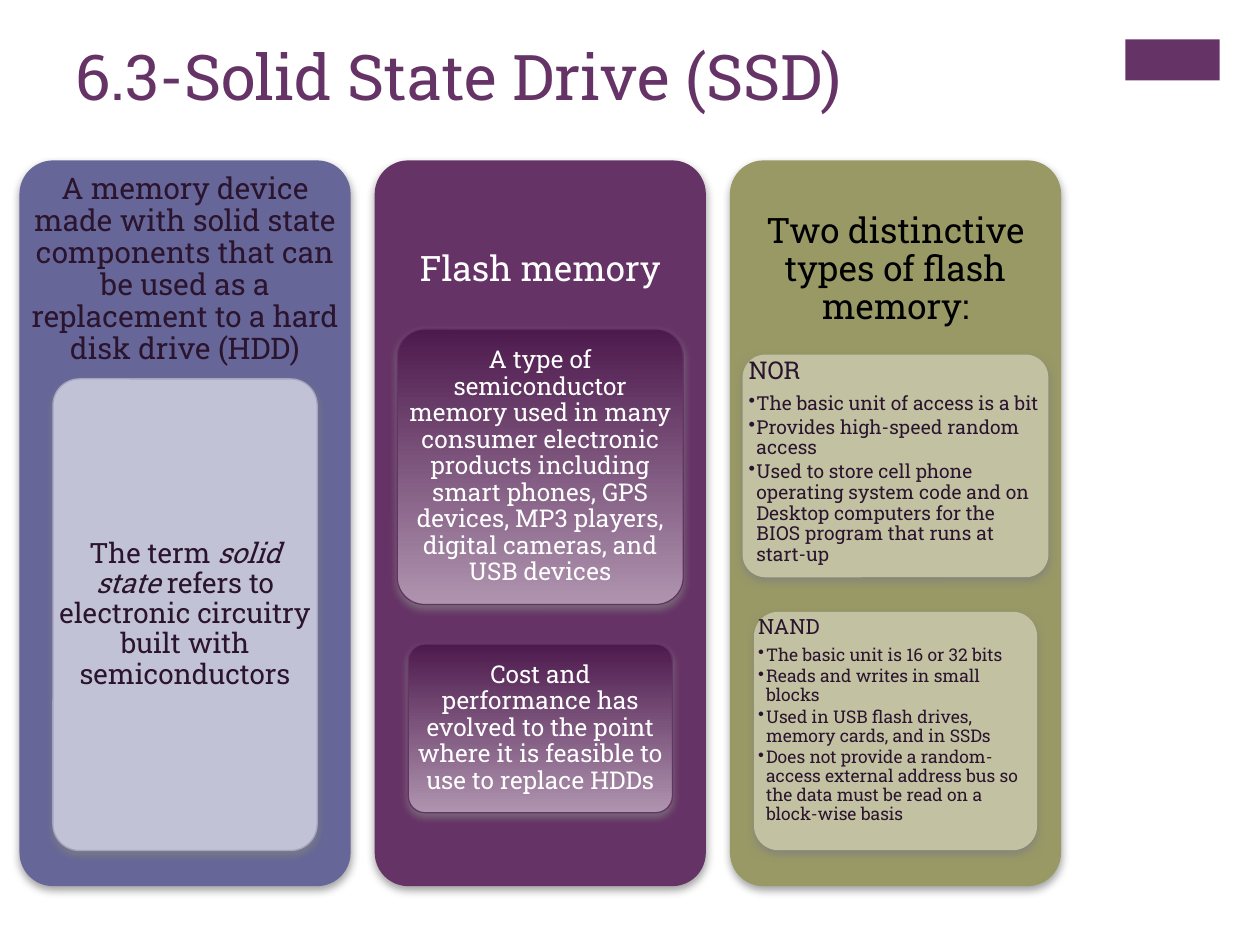
from dataclasses import dataclass
from typing import Optional

from lxml.etree import SubElement
from pptx import Presentation
from pptx.dml.color import RGBColor
from pptx.enum.shapes import MSO_SHAPE
from pptx.enum.text import MSO_ANCHOR, PP_ALIGN
from pptx.oxml.ns import qn
from pptx.util import Pt


@dataclass(frozen=True)
class Theme:
    font: str = "Roboto Slab"
    plum: str = "663366"
    blue: str = "666699"
    olive: str = "999966"
    ink: str = "2B142D"
    white: str = "FFFFFF"
    black: str = "000000"
    mist: str = "C2C2D6"
    mist_rim: str = "A3A3C2"
    sand: str = "C2C2A3"
    deep: str = "4D1A4D"
    pale: str = "AF94AF"
    shade: str = "808080"
    title: int = 36
    head: int = 20
    lead: int = 17
    term: int = 16
    body: int = 14
    label: int = 12
    item: int = 11
    small: int = 10


T = Theme()


@dataclass(frozen=True)
class Box:
    x: float
    y: float
    w: float
    h: float

    def frame(self) -> tuple:
        return Pt(self.x), Pt(self.y), Pt(self.w), Pt(self.h)


@dataclass(frozen=True)
class Para:
    runs: tuple  # every second run is italic
    size: int
    color: str
    bullet: bool = False


@dataclass(frozen=True)
class Card:
    y: float
    w: float
    h: float
    paras: tuple
    fill: str
    rim: str
    fade: Optional[str] = None
    listed: bool = False
    side: float = 3


@dataclass(frozen=True)
class Column:
    fill: str
    head: Para
    cards: tuple


def rgb(code: str) -> RGBColor:
    return RGBColor.from_string(code)


def add_panel(slide, box: Box, fill: str, rim: str, fade: Optional[str] = None) -> None:
    panel = slide.shapes.add_shape(MSO_SHAPE.ROUNDED_RECTANGLE, *box.frame())
    panel.adjustments[0] = 0.1
    if fade:
        panel.fill.gradient()
        panel.fill.gradient_angle = 270
        for stop, tone in zip(panel.fill.gradient_stops, (fill, fade)):
            stop.color.rgb = rgb(tone)
    else:
        panel.fill.solid()
        panel.fill.fore_color.rgb = rgb(fill)
    panel.line.color.rgb = rgb(rim)
    panel.line.width = Pt(0.75)
    # Soft shadow below the panel
    panel.shadow.inherit = False
    effects = panel._element.spPr.find(qn("a:effectLst"))
    shadow = SubElement(effects, qn("a:outerShdw"), blurRad=str(Pt(5)),
                        dist=str(Pt(2)), dir="5400000", rotWithShape="0")
    tone = SubElement(shadow, qn("a:srgbClr"), val=T.shade)
    SubElement(tone, qn("a:alpha"), val="75000")


def set_para(para, data: Para, align) -> None:
    para.alignment = align
    para.line_spacing = 0.9
    para.space_after = Pt(data.size * (0.15 if data.bullet else 0.35))
    if data.bullet:
        para.level = 1
        props = para._p.get_or_add_pPr()
        props.set("marL", str(Pt(4.5)))
        props.set("indent", str(-Pt(4.5)))
        SubElement(props, qn("a:buChar"), char="•")
    para.font.name = T.font
    para.font.size = Pt(data.size)
    para.font.color.rgb = rgb(data.color)
    for place, words in enumerate(data.runs):
        run = para.add_run()
        run.text = words
        if place % 2:
            run.font.italic = True


def add_text(slide, box: Box, paras: tuple, side: float, edge: float,
             align=PP_ALIGN.CENTER, anchor=MSO_ANCHOR.MIDDLE) -> None:
    frame = slide.shapes.add_textbox(*box.frame()).text_frame
    frame.word_wrap = True
    frame.vertical_anchor = anchor
    frame.margin_left = frame.margin_right = Pt(side)
    frame.margin_top = frame.margin_bottom = Pt(edge)
    for place, data in enumerate(paras):
        para = frame.add_paragraph() if place else frame.paragraphs[0]
        set_para(para, data, align)


def add_column(slide, x: float, col: Column) -> None:
    top, wide = 92, 188.5
    add_panel(slide, Box(x, top, wide, 414), col.fill, col.fill)
    add_text(slide, Box(x, top, wide, 124.5), (col.head,), 5, 5)
    for card in col.cards:
        box = Box(x + (wide - card.w) / 2, card.y, card.w, card.h)
        add_panel(slide, box, card.fill, card.rim, card.fade)
        if card.listed:
            add_text(slide, box, card.paras, card.side, 2, PP_ALIGN.LEFT, MSO_ANCHOR.TOP)
        else:
            add_text(slide, box, card.paras, card.side, 2)


def plum_card(y: float, w: float, h: float, words: str) -> Card:
    return Card(y, w, h, (Para((words,), T.body, T.white),), T.deep, T.plum, T.pale)


def list_card(y: float, w: float, h: float, name: str, size: int,
              items: tuple, small: int, side: float) -> Card:
    lines = tuple(Para((item,), small, T.ink, True) for item in items)
    return Card(y, w, h, (Para((name,), size, T.ink), *lines), T.sand, T.sand,
                listed=True, side=side)


COLUMNS = (
    Column(T.blue, Para(("A memory device made with solid state components that can be "
                         "used as a replacement to a hard disk drive (HDD)",), T.lead, T.ink), (
        Card(216.5, 151, 269.5, (Para((
            "The term ", "solid state ",
            "refers to electronic circuitry built with semiconductors"), T.term, T.ink),),
            T.mist, T.mist_rim),
    )),
    Column(T.plum, Para(("Flash memory",), T.head, T.white), (
        plum_card(188, 163.5, 157.5,
                  "A type of semiconductor memory used in many consumer electronic products "
                  "including smart phones, GPS devices, MP3 players, digital cameras, and "
                  "USB devices"),
        plum_card(368, 151, 96.5,
                  "Cost and performance has evolved to the point where it is feasible to "
                  "use to replace HDDs"),
    )),
    Column(T.olive, Para(("Two distinctive types of flash memory:",), T.head, T.black), (
        list_card(203, 174, 126.5, "NOR", T.body, (
            "The basic unit of access is a bit",
            "Provides high-speed random access",
            "Used to store cell phone operating system code and on Desktop computers "
            "for the BIOS program that runs at start-up"), T.item, 3),
        list_card(350, 161, 135.5, "NAND", T.label, (
            "The basic unit is 16 or 32 bits",
            "Reads and writes in small blocks",
            "Used in USB flash drives, memory cards, and in SSDs",
            "Does not provide a random-access external address bus so the data must be "
            "read on a block-wise basis"), T.small, 2),
    )),
)


def main() -> None:
    deck = Presentation()
    deck.slide_width, deck.slide_height = Pt(720), Pt(540)
    slide = deck.slides.add_slide(deck.slide_layouts[6])

    # Corner accent
    accent = slide.shapes.add_shape(MSO_SHAPE.RECTANGLE, *Box(643, 22.5, 54, 23.5).frame())
    accent.shadow.inherit = False
    accent.fill.solid()
    accent.fill.fore_color.rgb = rgb(T.plum)
    accent.line.fill.background()

    # Title
    frame = slide.shapes.add_textbox(*Box(36, 18, 594.5, 70).frame()).text_frame
    frame.word_wrap = True
    title = frame.paragraphs[0]
    title.text = "6.3-Solid State Drive (SSD)"
    title.font.name = T.font
    title.font.size = Pt(T.title)
    title.font.color.rgb = rgb(T.plum)

    # Three columns at an equal pitch
    for place, col in enumerate(COLUMNS):
        add_column(slide, 11.5 + 203 * place, col)

    deck.save("out.pptx")


if __name__ == "__main__":
    main()
